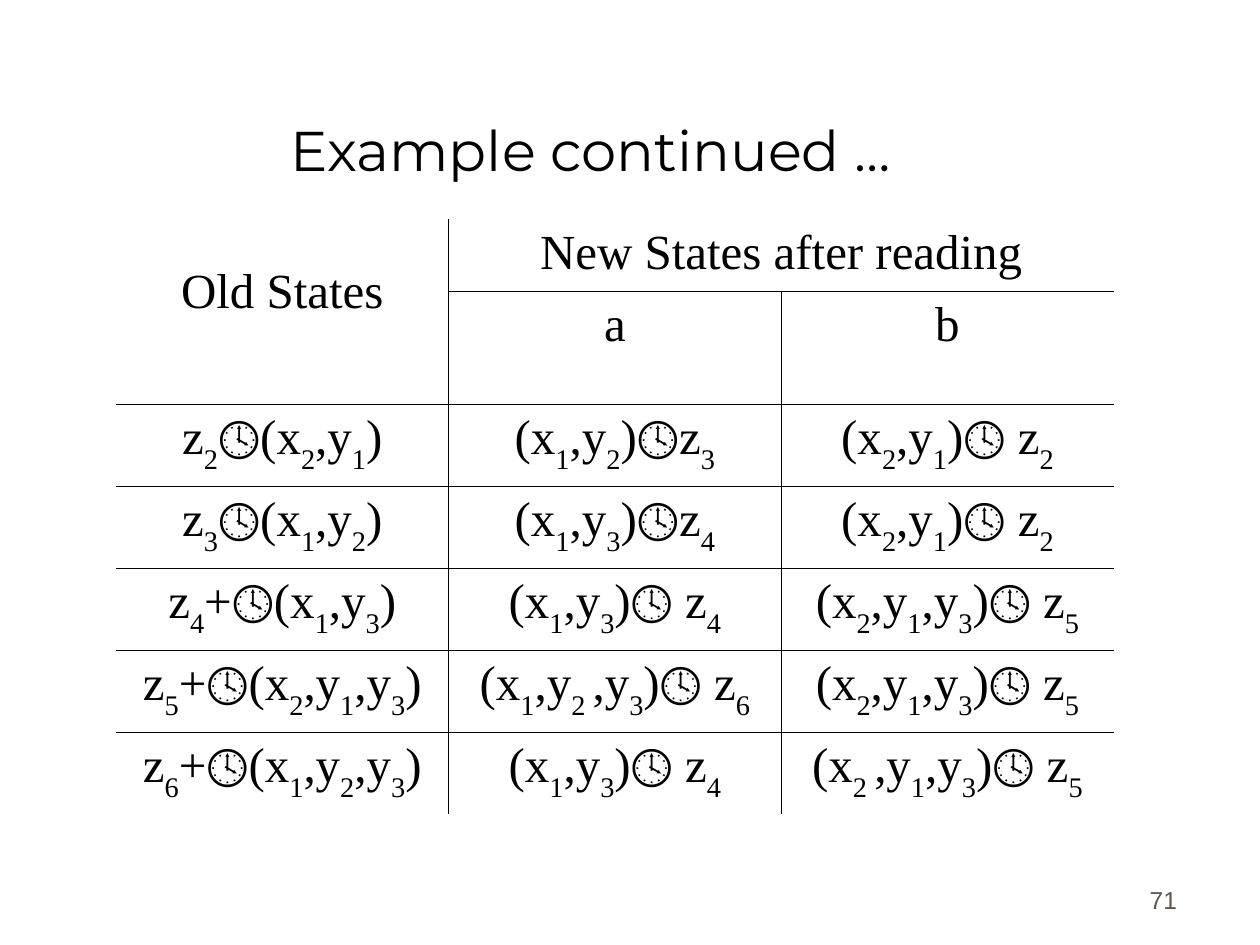
from lxml import etree
from pptx import Presentation
from pptx import util as u
from pptx.dml.color import RGBColor
from pptx.enum import text
from pptx.oxml.ns import qn

COLORS = {"ink": "000000", "number": "5E574E"}
NO_STYLE = "{2D5ABB26-0587-4C30-8999-92F81FD0307C}"
COL_WIDTH = 2.64
ROW_HEIGHTS = [0.57, 0.9] + [0.65] * 5

# Text between underscores is set as subscript
ROWS = [
    ["Old States", "New States after reading", ""],
    ["", "a", "b"],
    ["z_2_🕓(x_2_,y_1_)", "(x_1_,y_2_)🕓z_3_", "(x_2_,y_1_)🕓 z_2_"],
    ["z_3_🕓(x_1_,y_2_)", "(x_1_,y_3_)🕓z_4_", "(x_2_,y_1_)🕓 z_2_"],
    ["z_4_+🕓(x_1_,y_3_)", "(x_1_,y_3_)🕓 z_4_", "(x_2_,y_1_,y_3_)🕓 z_5_"],
    ["z_5_+🕓(x_2_,y_1_,y_3_)", "(x_1_,y_2 _,y_3_)🕓 z_6_", "(x_2_,y_1_,y_3_)🕓 z_5_"],
    ["z_6_+🕓(x_1_,y_2_,y_3_)", "(x_1_,y_3_)🕓 z_4_", "(x_2 _,y_1_,y_3_)🕓 z_5_"],
]


def style(r, size, font, color):
    r.font.size = u.Pt(size)
    r.font.name = font
    r.font.color.rgb = RGBColor.from_string(COLORS[color])


def add_label(s, box, label, size, font, color, align):
    """Bottom-anchored line of text in the given box."""
    tf = s.shapes.add_textbox(*map(u.Inches, box)).text_frame
    tf.word_wrap = True
    tf.vertical_anchor = text.MSO_ANCHOR.BOTTOM
    p = tf.paragraphs[0]
    p.text = label
    p.alignment = align
    style(p.runs[0], size, font, color)


def write_formula(cell, formula):
    p = cell.text_frame.paragraphs[0]
    p.alignment = text.PP_ALIGN.CENTER
    for i, part in enumerate(formula.split("_")):
        if part:
            r = p.add_run()
            r.text = part
            style(r, 28, "Times New Roman", "ink")
            if i % 2:
                r.font._element.set("baseline", "-30000")


def add_border(cell, side):
    ln = etree.SubElement(cell._tc.get_or_add_tcPr(), qn(f"a:ln{side}"), w=str(u.Pt(0.45)))
    fill = etree.SubElement(ln, qn("a:solidFill"))
    etree.SubElement(fill, qn("a:srgbClr"), val=COLORS["ink"])


def add_state_table(s, left, top):
    n_rows, n_cols = len(ROWS), len(ROWS[0])
    frame = s.shapes.add_table(n_rows, n_cols, u.Inches(left), u.Inches(top),
                               u.Inches(COL_WIDTH * n_cols), u.Inches(sum(ROW_HEIGHTS)))
    table = frame.table
    table.first_row = table.horz_banding = False
    table._tbl.tblPr.find(qn("a:tableStyleId")).text = NO_STYLE
    for col in table.columns:
        col.width = u.Inches(COL_WIDTH)
    for row, height in zip(table.rows, ROW_HEIGHTS):
        row.height = u.Inches(height)

    # Header spans
    table.cell(0, 0).merge(table.cell(1, 0))
    table.cell(0, 1).merge(table.cell(0, 2))

    # Cell text, with rules on the inner edges only
    for i, row in enumerate(ROWS):
        for j, formula in enumerate(row):
            cell = table.cell(i, j)
            if cell.is_spanned:
                continue
            write_formula(cell, formula)
            height = cell.span_height if cell.is_merge_origin else 1
            width = cell.span_width if cell.is_merge_origin else 1
            inner = {"L": j > 0, "R": j + width < n_cols,
                     "T": i > 0, "B": i + height < n_rows}
            for side, shown in inner.items():
                if shown:
                    add_border(cell, side)
            cell.fill.background()
    table.cell(0, 0).margin_top = u.Inches(0.36)


def main():
    prs = Presentation()
    prs.slide_width, prs.slide_height = u.Inches(10), u.Inches(7.5)
    s = prs.slides.add_slide(prs.slide_layouts[6])
    # Slide number
    add_label(s, (7.36, 6.81, 2.08, 0.5), "71", 14, "Arial", "number", text.PP_ALIGN.RIGHT)
    # Title
    add_label(s, (0.44, 0.25, 8.5, 1.25), "Example continued …", 32, "Montserrat", "ink",
              text.PP_ALIGN.CENTER)
    # State transitions
    add_state_table(s, 0.92, 1.74)
    prs.save("out.pptx")


if __name__ == "__main__":
    main()
